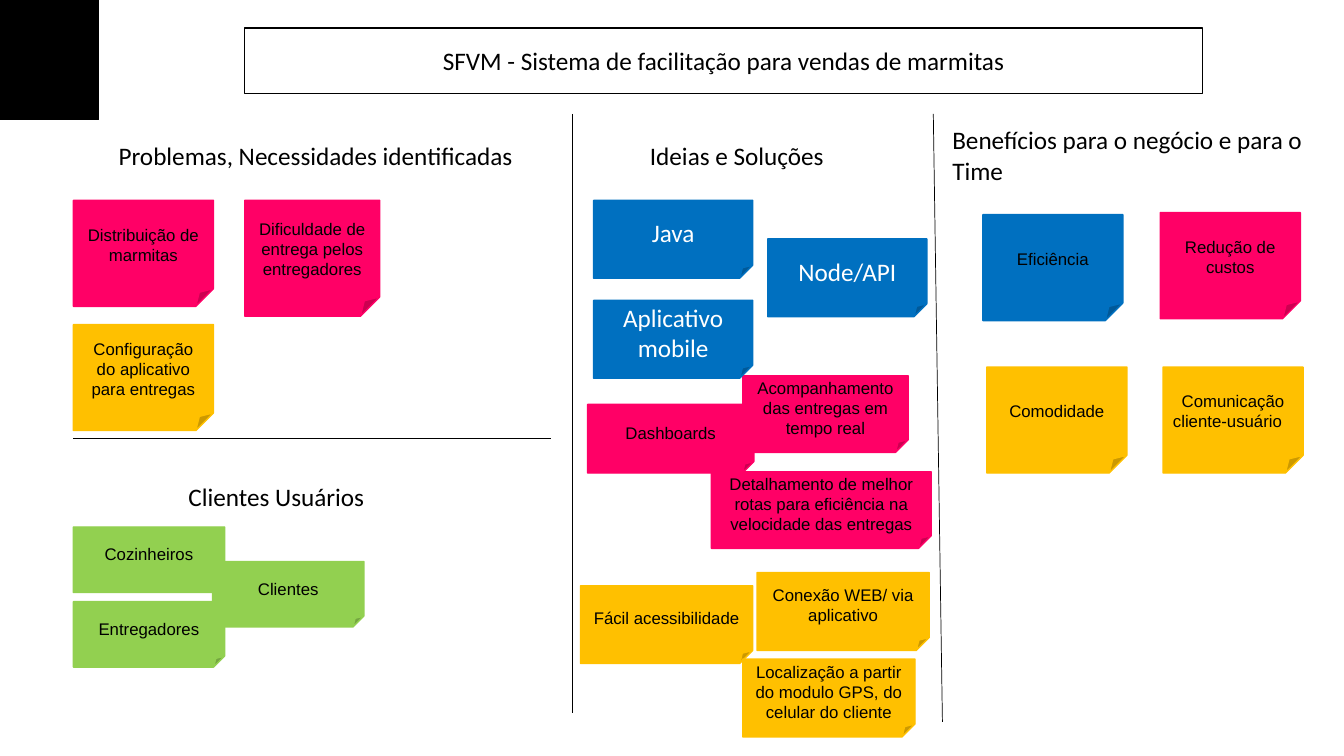
import dataclasses

import pptx
import pptx.dml.color
import pptx.enum.shapes
import pptx.enum.text
import pptx.oxml
import pptx.util

Cm = pptx.util.Cm
Pt = pptx.util.Pt
Shapes = pptx.enum.shapes.MSO_SHAPE


@dataclasses.dataclass(frozen=True)
class Theme:
    """Colours, fonts and type sizes of the board."""
    pink: str = "FF0066"
    yellow: str = "FFC000"
    green: str = "92D050"
    blue: str = "0070C0"
    black: str = "000000"
    white: str = "FFFFFF"
    note_font: str = "Arial"
    heading_font: str = "Calibri"
    note_size: int = 12
    heading_size: int = 18


THEME = Theme()

TALL = (3.53, 2.67)
USER = (3.81, 1.65)
TECHNOLOGY = (4.01, 1.96)
ACCESS = (4.34, 1.96)

SOLUTION_DETAILS = [
    ("Detalhamento de melhor rotas para eficiência na velocidade das entregas",
     17.93, 11.89, (5.54, 1.93), THEME.pink),
    ("Acompanhamento das entregas em tempo real", 18.72, 9.47, (4.17, 1.93), THEME.pink),
]
NOTES = [
    ("Distribuição de marmitas", 1.85, 5.05, TALL, THEME.pink),
    ("Dificuldade de entrega pelos entregadores", 6.17, 5.05, (3.4, 2.92), THEME.pink),
    ("Configuração do aplicativo para entregas", 1.85, 8.18, TALL, THEME.yellow),
    ("Cozinheiros", 1.85, 13.28, USER, THEME.green),
    ("Fácil acessibilidade", 14.63, 14.76, ACCESS, THEME.yellow),
    ("Conexão WEB/ via aplicativo", 19.08, 14.43, ACCESS, THEME.yellow),
    ("Eficiência", 24.77, 5.41, TALL, THEME.blue),
    ("Redução de custos", 29.24, 5.36, TALL, THEME.pink),
    ("Entregadores", 1.85, 15.16, USER, THEME.green),
    ("Clientes", 5.36, 14.15, USER, THEME.green),
    ("Dashboards", 14.81, 10.19, (4.19, 1.73), THEME.pink),
    ("Localização a partir do modulo GPS, do celular do cliente",
     18.72, 16.61, ACCESS, THEME.yellow),
    ("Comodidade", 24.87, 9.25, TALL, THEME.yellow),
    ("Comunicação cliente-usuário\t", 29.31, 9.25, TALL, THEME.yellow),
]
TECHNOLOGIES = [
    ("Java", 14.96, 5.05),
    ("Aplicativo mobile", 14.96, 7.57),
    ("Node/API", 19.35, 6.02),
]
HEADINGS = [
    ("Problemas, Necessidades identificadas", 2.74, 3.4, 10.52, 1.02, True),
    ("Ideias e Soluções", 16.13, 3.4, 5.66, 1.02, True),
    ("Benefícios para o negócio e para o Time", 23.75, 3.02, 10.36, 1.8, True),
    ("Clientes Usuários", 4.5, 12.01, 4.98, 1.02, False),
]
DIVIDERS = [
    (1.85, 11.05, 13.89, 11.05),
    (14.43, 2.87, 14.43, 17.96),
    (23.52, 2.87, 23.75, 18.19),
]


def rgb(colour):
    """Turn a hex string into a colour value."""
    return pptx.dml.color.RGBColor.from_string(colour)


def write(frame, text, font, size, colour):
    """Put text in a frame and format its runs."""
    frame.text = text
    for paragraph in frame.paragraphs:
        for run in paragraph.runs:
            run.font.name = font
            run.font.size = Pt(size)
            run.font.color.rgb = rgb(colour)


def add_box(slide, kind, left, top, size, fill, line):
    """Draw a filled shape with a one-point outline."""
    box = slide.shapes.add_shape(kind, Cm(left), Cm(top), *map(Cm, size))
    box.shadow.inherit = False
    box.fill.solid()
    box.fill.fore_color.rgb = rgb(fill)
    box.line.color.rgb = rgb(line)
    box.line.width = Pt(1)
    return box


def write_centred(box, text, font, size, colour):
    """Write text in the middle of a box."""
    frame = box.text_frame
    frame.word_wrap = True
    frame.vertical_anchor = pptx.enum.text.MSO_ANCHOR.MIDDLE
    write(frame, text, font, size, colour)
    frame.paragraphs[0].alignment = pptx.enum.text.PP_ALIGN.CENTER


def add_note(slide, text, left, top, size, fill):
    """Draw a sticky note with small dark text."""
    note = add_box(slide, Shapes.FOLDED_CORNER, left, top, size, fill, fill)
    write_centred(note, text, THEME.note_font, THEME.note_size, THEME.black)


def add_technology(slide, text, left, top):
    """Draw a blue sticky note with large white text."""
    note = add_box(slide, Shapes.FOLDED_CORNER, left, top, TECHNOLOGY, THEME.blue, THEME.blue)
    write_centred(note, text, THEME.heading_font, THEME.heading_size, THEME.white)


def add_heading(slide, text, left, top, width, height, wraps):
    """Write the heading of a board section."""
    heading = slide.shapes.add_textbox(Cm(left), Cm(top), Cm(width), Cm(height))
    frame = heading.text_frame
    frame.word_wrap = wraps
    frame.auto_size = pptx.enum.text.MSO_AUTO_SIZE.SHAPE_TO_FIT_TEXT
    write(frame, text, THEME.heading_font, THEME.heading_size, THEME.black)


def add_divider(slide, *ends):
    """Draw a thin line between board sections."""
    divider = slide.shapes.add_connector(
        pptx.enum.shapes.MSO_CONNECTOR.STRAIGHT, *map(Cm, ends))
    divider.line.color.rgb = rgb(THEME.black)
    divider.line.width = Pt(0.5)
    properties = divider._element.spPr
    properties.append(pptx.oxml.parse_xml(
        '<a:effectLst xmlns:a="http://schemas.openxmlformats.org/drawingml/2006/main"/>'))


def add_title(slide):
    """Draw the framed title of the board."""
    title = add_box(slide, Shapes.RECTANGLE, 6.17, 0.71, (24.13, 1.65), THEME.white, THEME.black)
    write_centred(title, "SFVM - Sistema de facilitação para vendas de marmitas",
                  THEME.heading_font, THEME.heading_size, THEME.black)


def main():
    """Build the board and save it."""
    deck = pptx.Presentation()
    deck.slide_width, deck.slide_height = Cm(33.87), Cm(19.05)
    slide = deck.slides.add_slide(deck.slide_layouts[6])
    for detail in SOLUTION_DETAILS:
        add_note(slide, *detail)
    for divider in DIVIDERS:
        add_divider(slide, *divider)
    add_title(slide)
    for heading in HEADINGS:
        add_heading(slide, *heading)
    for technology in TECHNOLOGIES:
        add_technology(slide, *technology)
    for note in NOTES:
        add_note(slide, *note)
    add_box(slide, Shapes.RECTANGLE, 0, 0, (2.49, 3.02), THEME.black, THEME.black)
    deck.save("out.pptx")


if __name__ == "__main__":
    main()
